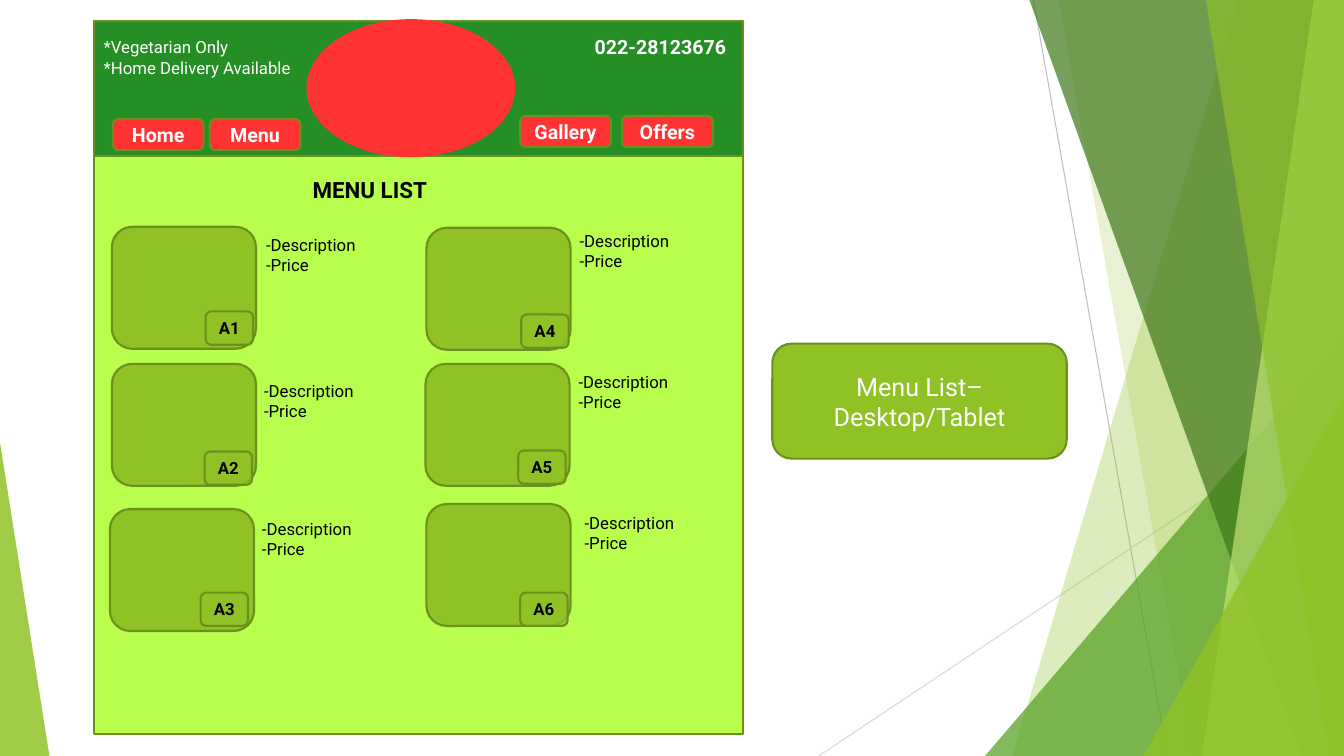
from dataclasses import dataclass

from lxml.etree import SubElement
from pptx import Presentation
from pptx.dml.color import RGBColor
from pptx.enum.shapes import MSO_CONNECTOR, MSO_SHAPE
from pptx.enum.text import MSO_ANCHOR, MSO_AUTO_SIZE, PP_ALIGN
from pptx.oxml.ns import qn
from pptx.util import Inches, Pt

COLOURS = {
    "white": "FFFFFF", "black": "000000", "red": "FF3333",
    "header": "258E25", "page": "B8FF4D", "outline": "6B901C",
    "leaf": "90C226", "grass": "54A021", "forest": "3F7819", "lime": "C0E474",
    "grey": "BFBFBF", "pale grey": "D9D9D9",
}
SLIDE_WIDTH, SLIDE_HEIGHT = 13.33, 7.5
FONT_NAME = "Roboto"
BUTTON_SIZE = (0.9, 0.31)
PHOTO_SIZE = (1.43, 1.21)
BADGE_SIZE = (0.47, 0.33)
DETAILS_SIZE = (1.21, 0.5)


@dataclass
class TextStyle:
    size: float
    colour: str = "white"
    bold: bool = False
    align: PP_ALIGN = PP_ALIGN.CENTER
    anchor: MSO_ANCHOR = MSO_ANCHOR.MIDDLE


@dataclass
class Band:
    """Backdrop strip reaching the right slide edge, with its slanted left side."""
    top_x: float
    bottom_x: float
    colour: str
    opacity: int


@dataclass
class Corner:
    """Backdrop triangle whose apex sits at the left (0) or right (1)."""
    box: tuple[float, float, float, float]
    apex: int
    colour: str
    opacity: int


@dataclass
class Button:
    label: str
    left: float
    top: float


@dataclass
class Dish:
    code: str
    photo: tuple[float, float]
    badge: tuple[float, float]
    details: tuple[float, float]


BANDS_BEHIND = [Band(12.28, 10.04, "leaf", 30), Band(10.5, 11.83, "leaf", 20)]
BANDS_FRONT = [
    Band(10.21, 12.91, "forest", 70),
    Band(13.03, 11.92, "lime", 70),
    Band(11.96, 13.18, "leaf", 65),
]
CORNER_BEHIND = Corner((9.77, 3.33, 3.56, 4.17), 1, "grass", 72)
CORNERS_FRONT = [
    Corner((11.34, 3.93, 1.99, 3.57), 1, "leaf", 80),
    Corner((0, 4.39, 0.49, 3.11), 0, "leaf", 85),
]
BUTTONS = [
    Button("Home", 1.12, 1.18),
    Button("Menu", 2.08, 1.18),
    Button("Gallery", 5.16, 1.15),
    Button("Offers", 6.17, 1.15),
]
DISHES = [
    Dish("A1", (1.11, 2.25), (2.04, 3.09), (2.54, 2.28)),
    Dish("A2", (1.11, 3.61), (2.03, 4.48), (2.52, 3.73)),
    Dish("A3", (1.09, 5.05), (1.99, 5.88), (2.5, 5.1)),
    Dish("A4", (4.23, 2.26), (5.17, 3.12), (5.65, 2.24)),
    Dish("A5", (4.22, 3.61), (5.14, 4.47), (5.64, 3.64)),
    Dish("A6", (4.23, 5), (5.16, 5.88), (5.7, 5.04)),
]


def rgb(name: str) -> RGBColor:
    return RGBColor.from_string(COLOURS[name])


def paint(shape, fill: str, line: str | None = None, opacity: int = 100) -> None:
    shape.shadow.inherit = False
    shape.fill.solid()
    shape.fill.fore_color.rgb = rgb(fill)
    if opacity < 100:
        colour = shape.element.spPr.find(f"{qn('a:solidFill')}/{qn('a:srgbClr')}")
        SubElement(colour, qn("a:alpha"), val=str(opacity * 1000))
    if line:
        shape.line.color.rgb = rgb(line)
        shape.line.width = Pt(1.5)
    else:
        shape.line.fill.background()


def write(shape, lines: list[str], style: TextStyle) -> None:
    frame = shape.text_frame
    frame.text = "\n".join(lines)
    frame.word_wrap = True
    frame.auto_size = MSO_AUTO_SIZE.NONE
    frame.vertical_anchor = style.anchor
    font_values = {"name": FONT_NAME, "size": Pt(style.size), "bold": style.bold}
    for paragraph in frame.paragraphs:
        paragraph.alignment = style.align
        for attribute, value in font_values.items():
            setattr(paragraph.font, attribute, value)
        paragraph.font.color.rgb = rgb(style.colour)


def add_box(slide, kind: MSO_SHAPE, box: tuple, fill: str,
            line: str | None = "outline", opacity: int = 100):
    shape = slide.shapes.add_shape(kind, *map(Inches, box))
    paint(shape, fill, line, opacity)
    return shape


def add_label(slide, box: tuple, lines: list[str], style: TextStyle) -> None:
    write(slide.shapes.add_textbox(*map(Inches, box)), lines, style)


def add_ray(slide, start: tuple, end: tuple, colour: str) -> None:
    ray = slide.shapes.add_connector(MSO_CONNECTOR.STRAIGHT, *map(Inches, start + end))
    ray.line.color.rgb = rgb(colour)
    ray.line.width = Pt(0.75)
    SubElement(ray.element.spPr, qn("a:effectLst"))


def add_band(slide, band: Band) -> None:
    builder = slide.shapes.build_freeform(Inches(band.top_x), 0)
    corners = [(SLIDE_WIDTH, 0), (SLIDE_WIDTH, SLIDE_HEIGHT), (band.bottom_x, SLIDE_HEIGHT)]
    builder.add_line_segments([(Inches(x), Inches(y)) for x, y in corners], close=True)
    paint(builder.convert_to_shape(), band.colour, opacity=band.opacity)


def add_corner(slide, corner: Corner) -> None:
    triangle = add_box(slide, MSO_SHAPE.ISOSCELES_TRIANGLE, corner.box,
                       corner.colour, None, corner.opacity)
    triangle.adjustments[0] = corner.apex


def add_backdrop(slide) -> None:
    add_ray(slide, (10.25, 0), (11.58, SLIDE_HEIGHT), "grey")
    add_ray(slide, (SLIDE_WIDTH, 4.03), (8.12, SLIDE_HEIGHT), "pale grey")
    for band in BANDS_BEHIND:
        add_band(slide, band)
    add_corner(slide, CORNER_BEHIND)
    for band in BANDS_FRONT:
        add_band(slide, band)
    for corner in CORNERS_FRONT:
        add_corner(slide, corner)


def add_header(slide) -> None:
    add_box(slide, MSO_SHAPE.RECTANGLE, (0.93, 0.21, 6.44, 7.07), "page")
    add_box(slide, MSO_SHAPE.RECTANGLE, (0.93, 0.21, 6.44, 1.34), "header")
    add_box(slide, MSO_SHAPE.OVAL, (3.04, 0.19, 2.07, 1.37), "red", None)
    for button in BUTTONS:
        shape = add_box(slide, MSO_SHAPE.ROUNDED_RECTANGLE,
                        (button.left, button.top, *BUTTON_SIZE), "red")
        write(shape, [button.label], TextStyle(14, bold=True))
    left_top = {"align": PP_ALIGN.LEFT, "anchor": MSO_ANCHOR.TOP}
    add_label(slide, (0.93, 0.32, 2.55, 0.5),
              ["*Vegetarian Only", "*Home Delivery Available"], TextStyle(12, **left_top))
    add_label(slide, (5.8, 0.3, 1.57, 0.34), ["022-28123676"],
              TextStyle(14, bold=True, **left_top))


def place_title(slide) -> None:
    """Format the title and bring it in front of the page panel."""
    title = slide.shapes.title
    title.left, title.top, title.width, title.height = map(Inches, (3, 1.7, 2.12, 0.37))
    write(title, ["MENU LIST"], TextStyle(16, "black", True, PP_ALIGN.LEFT, MSO_ANCHOR.TOP))
    title.element.getparent().append(title.element)


def add_dish(slide, dish: Dish) -> None:
    add_box(slide, MSO_SHAPE.ROUNDED_RECTANGLE, dish.photo + PHOTO_SIZE, "leaf")
    badge = add_box(slide, MSO_SHAPE.ROUNDED_RECTANGLE, dish.badge + BADGE_SIZE,
                    "leaf", opacity=73)
    write(badge, [dish.code], TextStyle(12, "black", True))
    add_label(slide, dish.details + DETAILS_SIZE, ["-Description", "-Price"],
              TextStyle(12, "black", align=PP_ALIGN.LEFT, anchor=MSO_ANCHOR.TOP))


def main() -> None:
    presentation = Presentation()
    presentation.slide_width = Inches(SLIDE_WIDTH)
    presentation.slide_height = Inches(SLIDE_HEIGHT)
    slide = presentation.slides.add_slide(presentation.slide_layouts[5])
    add_backdrop(slide)
    add_header(slide)
    place_title(slide)
    caption = add_box(slide, MSO_SHAPE.ROUNDED_RECTANGLE, (7.66, 3.41, 2.92, 1.14), "leaf")
    write(caption, ["Menu List– Desktop/Tablet"], TextStyle(18))
    for dish in DISHES:
        add_dish(slide, dish)
    presentation.save("out.pptx")


if __name__ == "__main__":
    main()
